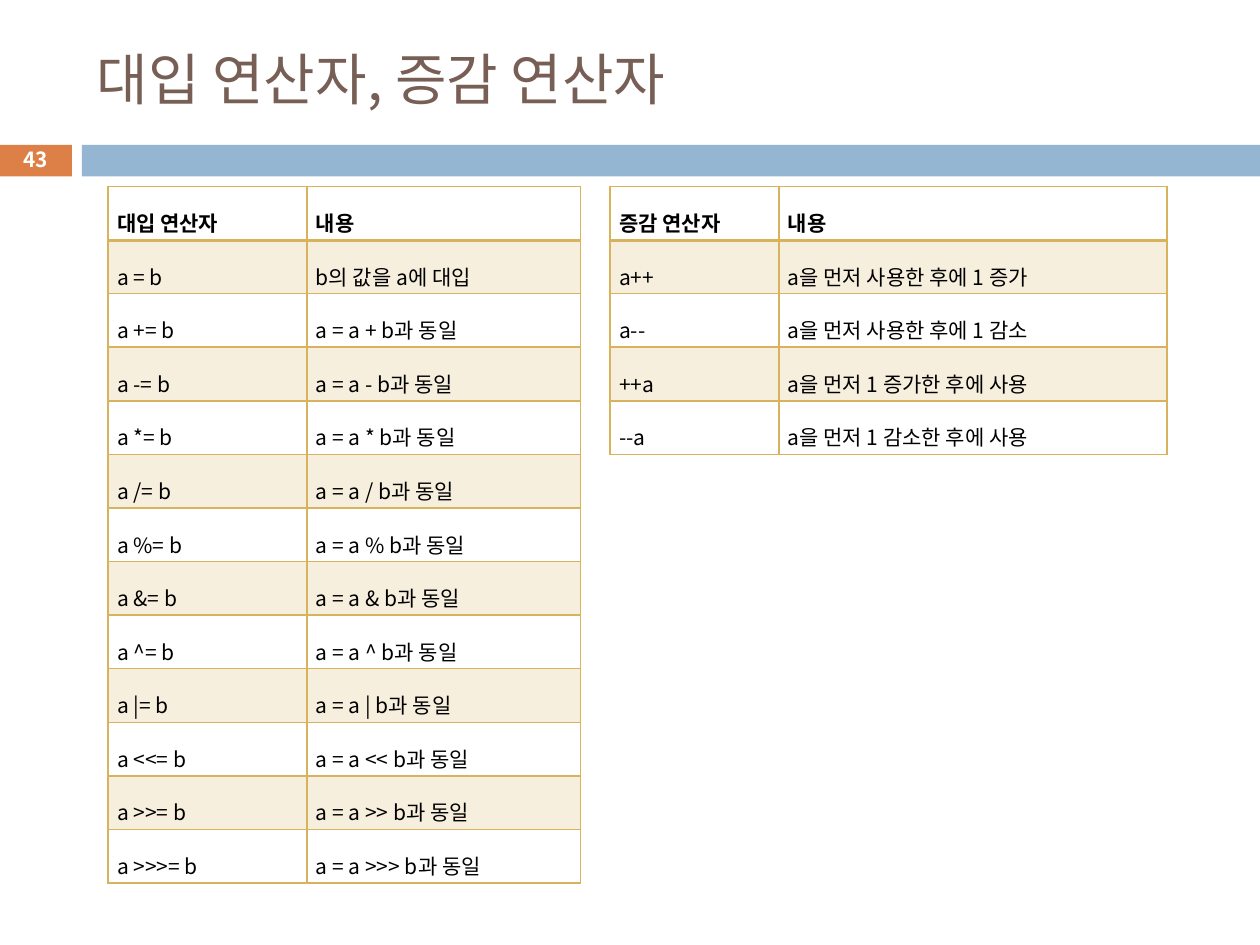
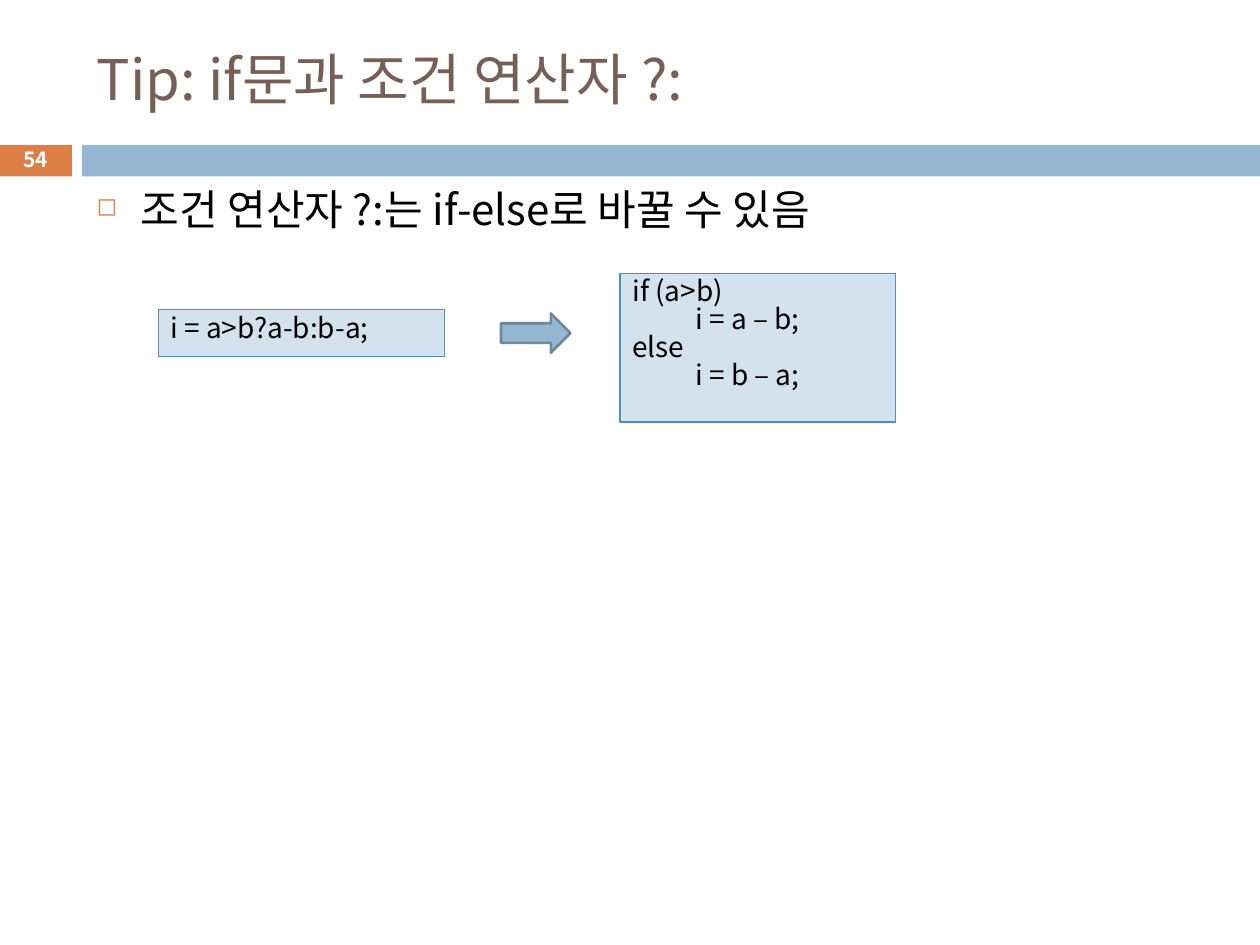
import pptx
import pptx.util
import pptx.dml.color
import pptx.enum.shapes
import pptx.enum.text
import pptx.oxml
import pptx.oxml.ns
from lxml import etree
from pptx.util import Cm, Pt

FONT = "Noto Sans CJK KR"
COLORS = {
    "title": "775F55", "text": "000000", "number": "FFFFFF",
    "accent": "DD8047", "band": "94B6D2",
    "grid": "D8B25C",
    "code_fill": "D4E2ED", "code_line": "558BB8", "arrow_line": "6D879B",
}
ALIGN = pptx.enum.text.PP_ALIGN
ANCHOR = pptx.enum.text.MSO_ANCHOR
SHAPE = pptx.enum.shapes.MSO_SHAPE
BAND_TOP, BAND_HEIGHT = Cm(2.92), Cm(0.64)
TABLE_TOP, ROW_HEIGHT = Cm(3.76), Cm(1.08)

COMPOUND_OPERATORS = ["+", "-", "*", "/", "%", "&", "^", "|", "<<", ">>", ">>>"]
ASSIGNMENT_ROWS = [("대입 연산자", "내용"), ("a = b", "b의 값을 a에 대입")] + [
    (f"a {sign}= b", f"a = a {sign} b과 동일") for sign in COMPOUND_OPERATORS]
STEP_ROWS = [
    ("증감 연산자", "내용"),
    ("a++", "a을 먼저 사용한 후에 1 증가"),
    ("a--", "a을 먼저 사용한 후에 1 감소"),
    ("++a", "a을 먼저 1 증가한 후에 사용"),
    ("--a", "a을 먼저 1 감소한 후에 사용"),
]


def color(name):
    return pptx.dml.color.RGBColor.from_string(COLORS[name])


def add_element(parent, tag, **attributes):
    element = etree.SubElement(parent, pptx.oxml.ns.qn(tag))
    for key, value in attributes.items():
        element.set(key, str(value))
    return element


def add_span(para, text, size, color_name="text", bold=False):
    span = para.add_run()
    span.text = text
    span.font.size = Pt(size)
    span.font.bold = bold
    span.font.name = FONT
    span.font.color.rgb = color(color_name)
    add_element(span.font._element, "a:ea", typeface=FONT)


def add_text_box(page, left, top, width, height, anchor=ANCHOR.TOP):
    """Add a wrapping text box and return its first paragraph."""
    frame = page.shapes.add_textbox(left, top, width, height).text_frame
    frame.word_wrap = True
    frame.vertical_anchor = anchor
    return frame.paragraphs[0]


def add_block(page, kind, left, top, width, height, fill, line=None, line_width=0.75):
    block = page.shapes.add_shape(kind, left, top, width, height)
    block.shadow.inherit = False
    block.fill.solid()
    block.fill.fore_color.rgb = color(fill)
    if line:
        block.line.color.rgb = color(line)
        block.line.width = Pt(line_width)
    else:
        block.line.fill.background()
    return block


def add_page(deck, title, number):
    """Add a blank page with the shared title, band and page number."""
    page = deck.slides.add_slide(deck.slide_layouts[6])
    add_block(page, SHAPE.RECTANGLE, Cm(-0.02), BAND_TOP, Cm(1.47), BAND_HEIGHT, "accent")
    add_block(page, SHAPE.RECTANGLE, Cm(1.65), BAND_TOP, Cm(23.75), BAND_HEIGHT, "band")
    para = add_text_box(page, Cm(1.7), Cm(0.64), Cm(22.66), Cm(1.88), ANCHOR.MIDDLE)
    add_span(para, title, 32, "title")
    para = add_text_box(page, Cm(-0.02), Cm(2.87), Cm(1.47), Cm(0.69), ANCHOR.MIDDLE)
    para.alignment = ALIGN.CENTER
    add_span(para, str(number), 11.9, "number", bold=True)
    return page


def set_borders(cell, bottom_width):
    properties = cell._tc.get_or_add_tcPr()
    widths = {"a:lnL": 1, "a:lnR": 1, "a:lnT": 1, "a:lnB": bottom_width}
    for position, (tag, width) in enumerate(widths.items()):
        line = add_element(properties, tag, w=Pt(width))
        fill = add_element(line, "a:solidFill")
        add_element(fill, "a:srgbClr", val=COLORS["grid"])
        properties.insert(position, line)


def fill_cell(cell, banded):
    if not banded:
        cell.fill.background()
        return
    cell.fill.solid()
    cell.fill.fore_color.rgb = color("grid")
    tint = cell._tc.tcPr.find(".//" + pptx.oxml.ns.qn("a:srgbClr"))
    add_element(tint, "a:alpha", val=20000)


def add_operator_table(page, left, column_widths, rows):
    table = page.shapes.add_table(
        len(rows), len(column_widths), left, TABLE_TOP,
        sum(column_widths), ROW_HEIGHT * len(rows)).table
    for column, width in zip(table.columns, column_widths):
        column.width = width
    for row_index, texts in enumerate(rows):
        table.rows[row_index].height = ROW_HEIGHT
        header = row_index == 0
        for column_index, text in enumerate(texts):
            cell = table.cell(row_index, column_index)
            cell.margin_left = cell.margin_right = Cm(0.18)
            cell.margin_top = cell.margin_bottom = Cm(0.05)
            cell.vertical_anchor = ANCHOR.MIDDLE
            fill_cell(cell, banded=row_index % 2 == 1)
            set_borders(cell, bottom_width=2 if header else 1)
            para = cell.text_frame.paragraphs[0]
            para.alignment = ALIGN.JUSTIFY
            para.line_spacing = 1.6
            add_span(para, text, 12, bold=header)


def add_bullet(page, text):
    para = add_text_box(page, Cm(1.7), Cm(3.73), Cm(22.66), Cm(14))
    properties = para._p.get_or_add_pPr()
    properties.set("marL", str(Cm(0.89)))
    properties.set("indent", str(Cm(-0.89)))
    bullet_color = add_element(properties, "a:buClr")
    add_element(bullet_color, "a:srgbClr", val=COLORS["accent"])
    add_element(properties, "a:buSzPct", val=60000)
    add_element(properties, "a:buChar", char="◻")
    para.line_spacing = 0.85
    add_span(para, text, 24)


def add_code_box(page, left, top, width, height, lines):
    """Add a code panel; lines are pairs of indent level and text."""
    box = add_block(page, SHAPE.RECTANGLE, left, top, width, height,
                    "code_fill", "code_line")
    frame = box.text_frame
    frame.word_wrap = True
    frame.vertical_anchor = ANCHOR.TOP
    for index, (level, text) in enumerate(lines):
        para = frame.add_paragraph() if index else frame.paragraphs[0]
        para.alignment = ALIGN.LEFT
        para.line_spacing = 0.83
        para.level = level
        para._p.get_or_add_pPr().set("marL", str(Cm(1.27) * level))
        add_span(para, text, 16)


def main():
    deck = pptx.Presentation()
    deck.slide_width, deck.slide_height = Cm(25.4), Cm(19.05)

    page = add_page(deck, "대입 연산자, 증감 연산자", 43)
    add_operator_table(page, Cm(2.18), [Cm(4.01), Cm(5.51)], ASSIGNMENT_ROWS)
    add_operator_table(page, Cm(12.3), [Cm(3.4), Cm(7.83)], STEP_ROWS)

    page = add_page(deck, "Tip: if문과 조건 연산자 ?:", 54)
    add_bullet(page, "조건 연산자 ?:는 if-else로 바꿀 수 있음")
    add_code_box(page, Cm(12.5), Cm(5.51), Cm(5.56), Cm(3),
                 [(0, "if (a>b)"), (1, "i = a – b;"), (0, "else"), (1, "i = b – a;")])
    add_code_box(page, Cm(3.19), Cm(6.24), Cm(5.77), Cm(0.95),
                 [(0, "i = a>b?a-b:b-a;")])
    add_block(page, SHAPE.RIGHT_ARROW, Cm(10.1), Cm(6.32), Cm(1.4), Cm(0.79),
              "band", "arrow_line", 1.5)

    deck.save("out.pptx")


if __name__ == "__main__":
    main()
